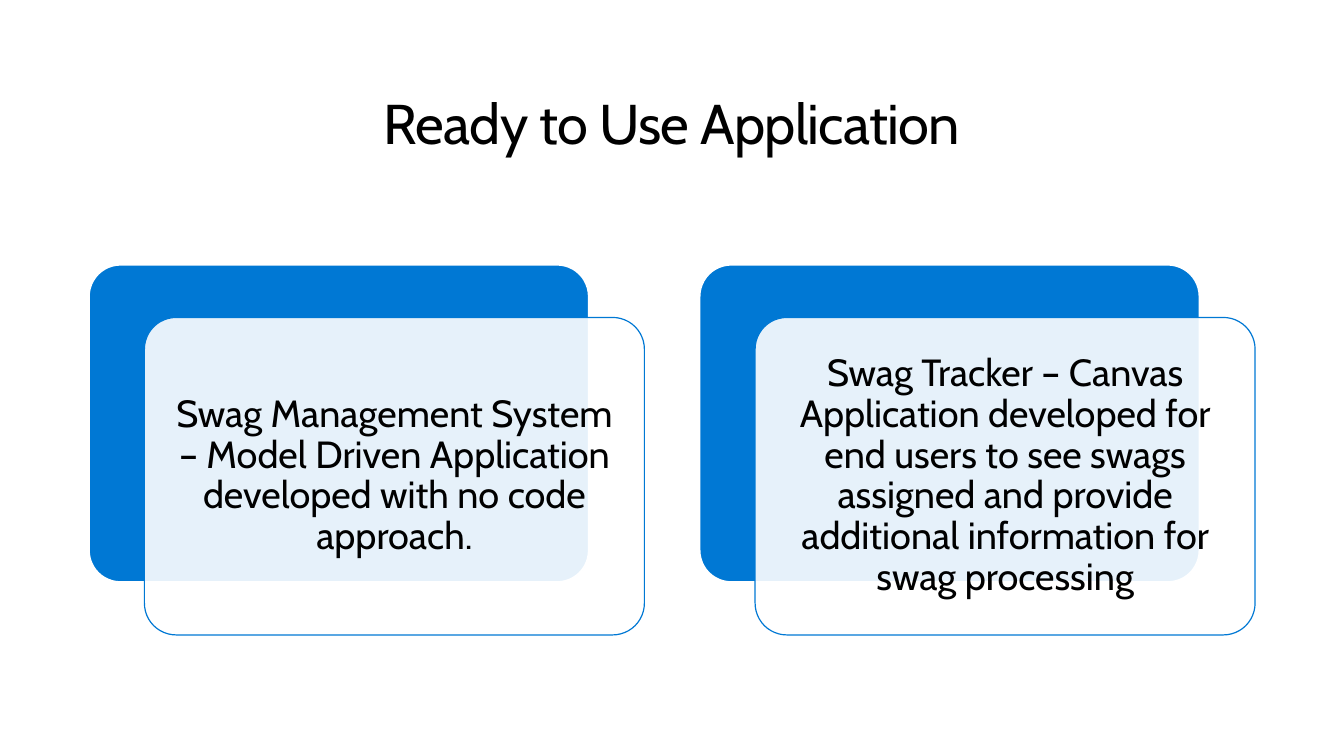
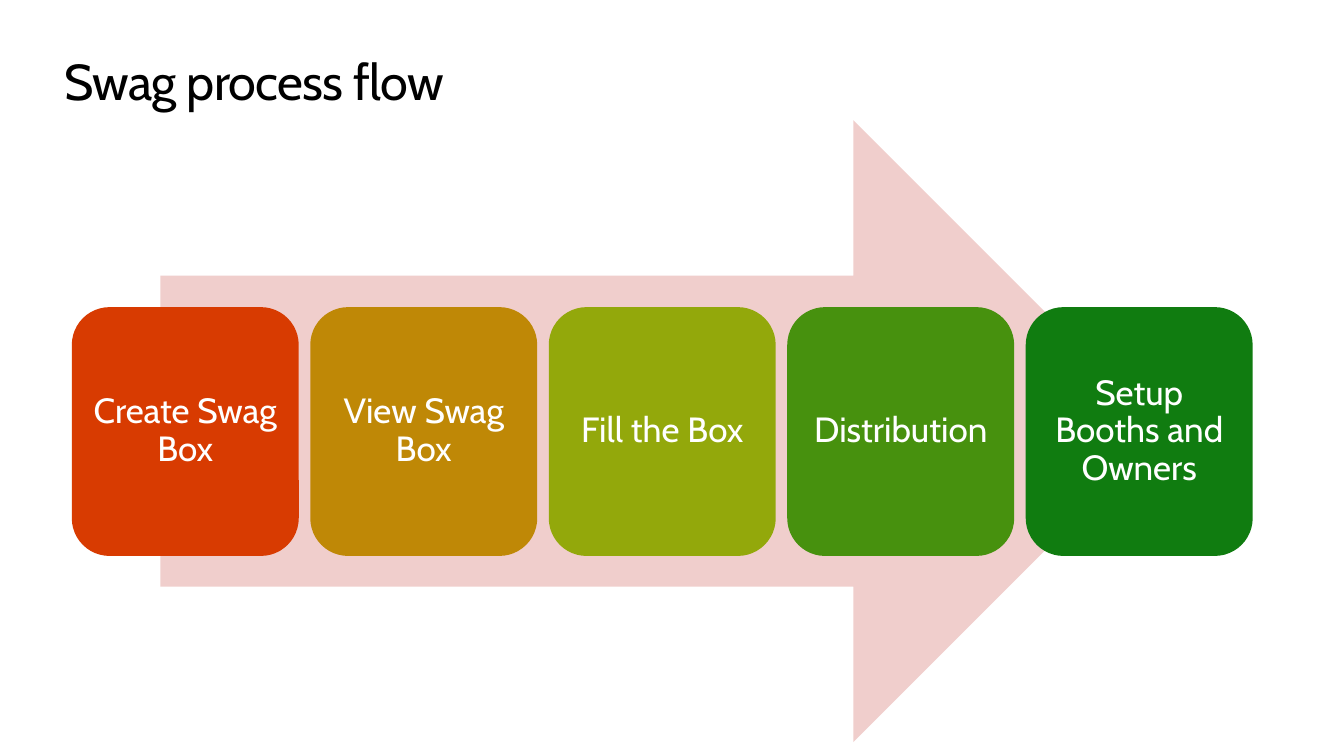
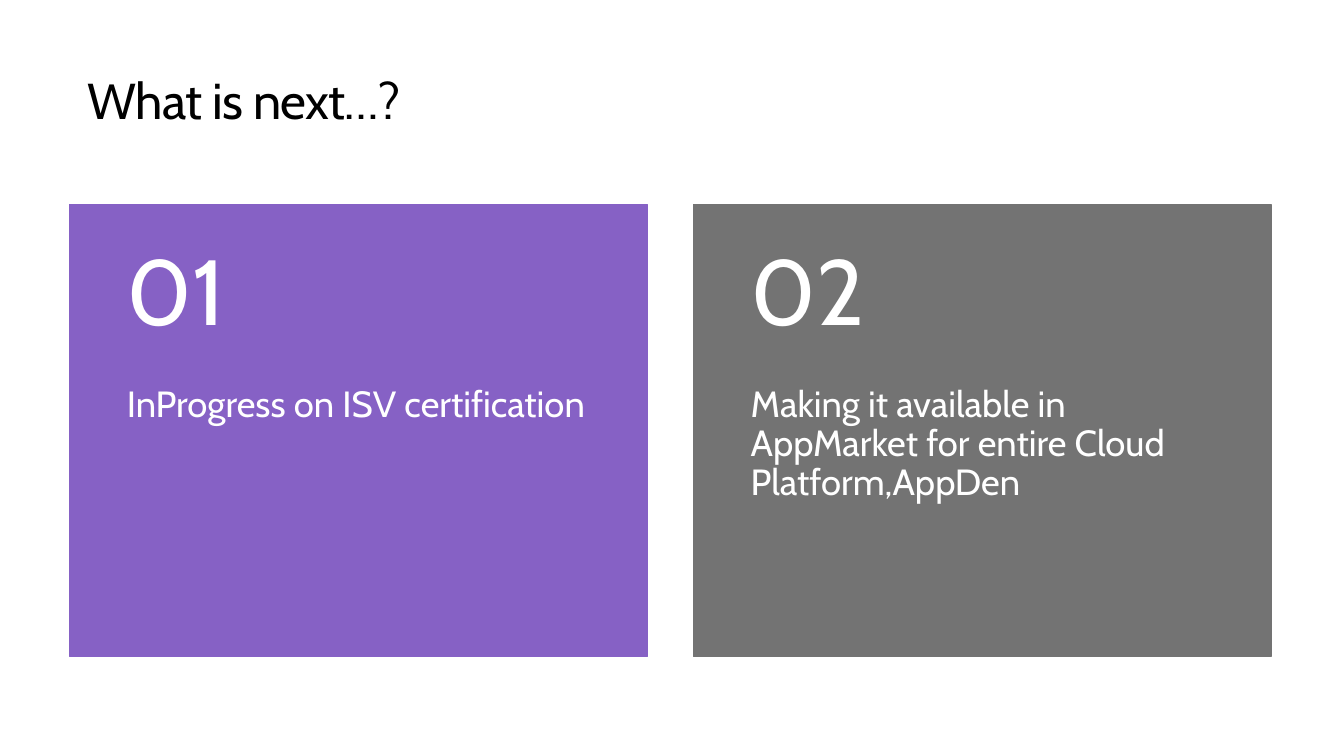
from lxml import etree
from pptx import Presentation
from pptx.dml.color import RGBColor
from pptx.enum.shapes import MSO_SHAPE as Kind
from pptx.enum.text import MSO_ANCHOR as Anchor, PP_ALIGN as Align
from pptx.oxml.ns import qn
from pptx.util import Cm, Pt

FONT = "Cabin"
BLACK = RGBColor(0x00, 0x00, 0x00)
WHITE = RGBColor(0xFF, 0xFF, 0xFF)
BLUE = RGBColor(0x00, 0x78, 0xD4)
PINK = RGBColor(0xF0, 0xCE, 0xCC)
RED = RGBColor(0xD8, 0x3B, 0x01)
GOLD = RGBColor(0xBF, 0x88, 0x06)
LIME = RGBColor(0x93, 0xA8, 0x0B)
LEAF = RGBColor(0x47, 0x91, 0x0E)
GREEN = RGBColor(0x10, 0x7C, 0x10)
PURPLE = RGBColor(0x86, 0x61, 0xC5)
GRAY = RGBColor(0x73, 0x73, 0x73)


def place(box):
    return [Cm(side) for side in box]


def write(shape, words, size, color=WHITE, align=Align.LEFT,
          anchor=Anchor.TOP, inset=(0, 0), foot=None, space=0.9):
    """Fill a shape with one paragraph; inset is (sides, top and bottom)."""
    frame = shape.text_frame
    frame.word_wrap = True
    frame.vertical_anchor = anchor
    side, top = inset
    frame.margin_left = frame.margin_right = Cm(side)
    frame.margin_top = Cm(top)
    frame.margin_bottom = Cm(top if foot is None else foot)
    para = frame.paragraphs[0]
    para.alignment = align
    para.line_spacing = space
    para.font.name = FONT
    para.font.size = Pt(size)
    para.font.color.rgb = color
    run = para.add_run()
    run.text = words
    return run


def add_text(slide, box, words, size, **style):
    return write(slide.shapes.add_textbox(*place(box)), words, size, **style)


def add_title(slide, box, words, size=36, **style):
    run = add_text(slide, box, words, size, color=BLACK, space=1.0, **style)
    run._r.get_or_add_rPr().set("spc", "-50")


def add_block(slide, kind, box, fill, line=None, width=0.85, round=None):
    block = slide.shapes.add_shape(kind, *place(box))
    block.shadow.inherit = False
    block.fill.solid()
    block.fill.fore_color.rgb = fill
    if line is None:
        block.line.fill.background()
    else:
        block.line.color.rgb = line
        block.line.width = Pt(width)
    if round is not None:
        block.adjustments[0] = round
    return block


def set_alpha(shape, percent):
    color = shape.fill._xPr.find(qn("a:solidFill"))[0]
    etree.SubElement(color, qn("a:alpha")).set("val", str(percent * 1000))


def add_card(slide, left, words):
    """Draw a blue plate with a see-through text card shifted over it."""
    top, wide, high = 6.67, 12.6, 8
    add_block(slide, Kind.ROUNDED_RECTANGLE, (left, top, wide, high),
              BLUE, WHITE, 1.35, round=0.1)
    card = add_block(slide, Kind.ROUNDED_RECTANGLE,
                     (left + 1.4, top + 1.33, wide, high),
                     WHITE, BLUE, round=0.1)
    set_alpha(card, 90)
    write(card, words, 27, color=BLACK, align=Align.CENTER,
          anchor=Anchor.MIDDLE, inset=(0.28, 0.28))


def add_step(slide, left, words, fill):
    step = add_block(slide, Kind.ROUNDED_RECTANGLE,
                     (left, 7.74, 5.72, 6.27), fill)
    write(step, words, 25, align=Align.CENTER, anchor=Anchor.MIDDLE,
          inset=(0.25, 0.25))


def add_panel(slide, left, number, words, fill):
    top, wide, high, head = 5.16, 14.56, 11.38, 4.56
    add_block(slide, Kind.RECTANGLE, (left, top, wide, high), fill, fill)
    add_text(slide, (left, top + head, wide, high - head), words, 26,
             inset=(1.45, 0), foot=0.91)
    add_text(slide, (left, top, wide, head), number, 66,
             anchor=Anchor.MIDDLE, inset=(1.45, 0.46))


def build_apps(slide):
    add_title(slide, (4.88, 2.22, 24.1, 2.92), "Ready to Use Application",
              size=40, align=Align.CENTER)
    cards = (
        "Swag Management System – Model Driven Application developed "
        "with no code approach.",
        "Swag Tracker – Canvas Application developed for end users to see "
        "swags assigned and provide additional information for swag "
        "processing",
    )
    for i, words in enumerate(cards):
        add_card(slide, 2.24 + i * 15.39, words)


def build_flow(slide):
    add_title(slide, (1.63, 1.27, 30.6, 1.55), "Swag process flow")
    add_block(slide, Kind.RIGHT_ARROW, (4.04, 3.03, 25.3, 15.67), PINK)
    steps = (
        ("Create Swag Box", RED),
        ("View Swag Box", GOLD),
        ("Fill the Box", LIME),
        ("Distribution", LEAF),
        ("Setup Booths and Owners", GREEN),
    )
    for i, (words, fill) in enumerate(steps):
        add_step(slide, 1.81 + i * 6.01, words, fill)


def build_next(slide):
    add_title(slide, (1.96, 1.02, 27.46, 2.97), "What is next…?",
              anchor=Anchor.MIDDLE, inset=(0.25, 0.13))
    panels = (
        ("InProgress on ISV certification", PURPLE),
        ("Making it available in AppMarket for entire Cloud Platform,AppDen",
         GRAY),
    )
    for i, (words, fill) in enumerate(panels):
        add_panel(slide, 1.75 + i * 15.72, f"{i + 1:02}", words, fill)


def main():
    deck = Presentation()
    deck.slide_width, deck.slide_height = Cm(33.87), Cm(19.05)
    blank = deck.slide_layouts[6]
    for build in (build_apps, build_flow, build_next):
        build(deck.slides.add_slide(blank))
    deck.save("out.pptx")


if __name__ == "__main__":
    main()
